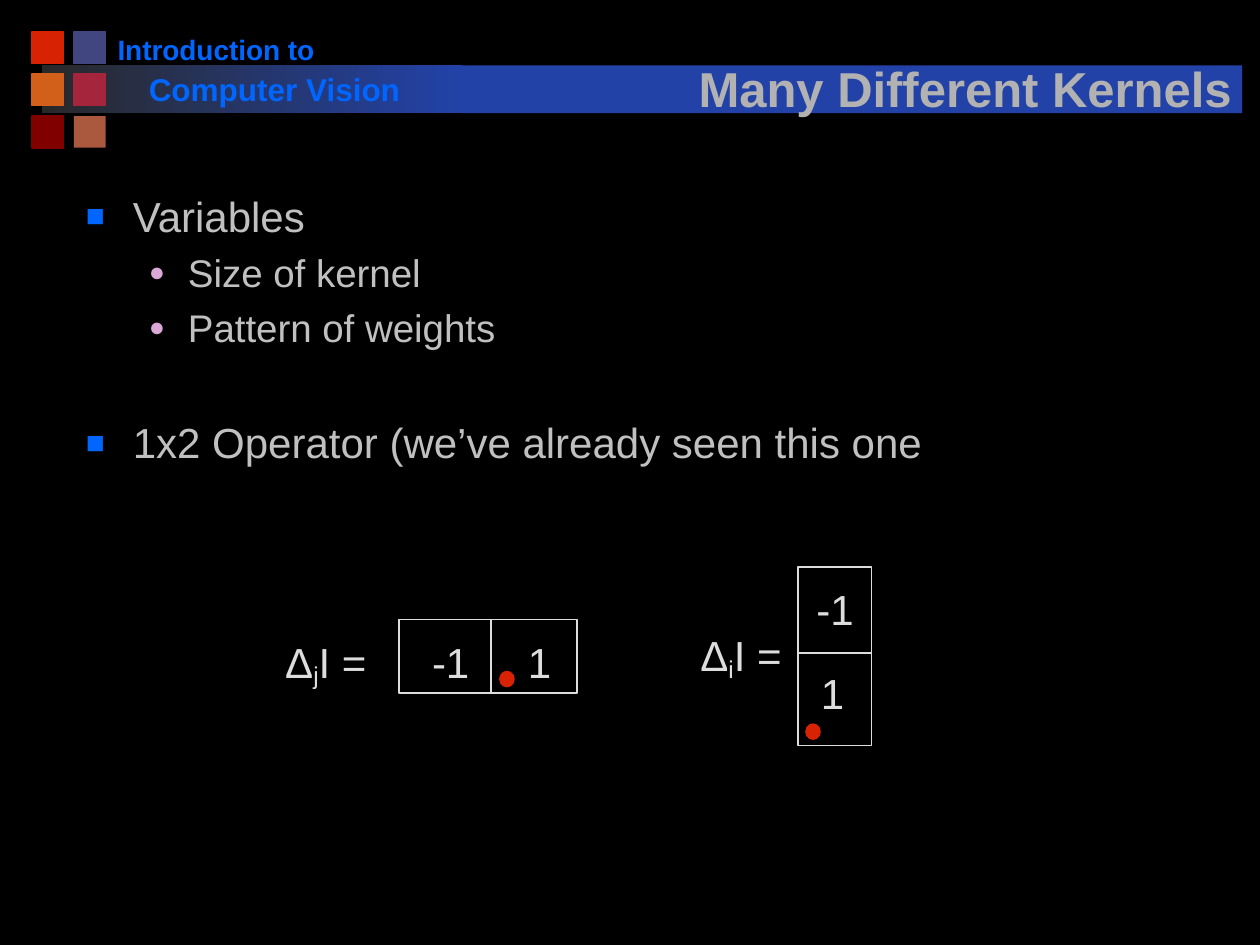
from lxml.etree import SubElement
from pptx import Presentation
from pptx.dml.color import RGBColor
from pptx.enum.shapes import MSO_CONNECTOR, MSO_SHAPE as Shape
from pptx.enum.text import MSO_ANCHOR as Anchor, PP_ALIGN as Align
from pptx.oxml.ns import qn
from pptx.util import Cm, Pt

# Theme: colours and type sizes
THEME = {
    "font": "Arial", "bg": "000000", "bar_dark": "292929", "bar": "2242A8",
    "header": "0066FF", "title": "B2B2B2", "body": "C0C0C0",
    "math": "DDDDDD", "dot": "D82204", "square": "0066FF", "round": "DBA9D7",
    "course_size": 16, "subject_size": 18, "title_size": 28,
    "body_size": 24, "sub_size": 22, "math_size": 24,
}

# Content; all positions are in centimetres
TITLE = "Many Different Kernels"
HEADERS = [  # text, size, box, wrap
    ("Introduction to", "course_size", (2.12, 0.53, 4.52, 0.94), False),
    ("Computer Vision", "subject_size", (2.75, 1.29, 7.2, 1.02), True),
]
TILES = [  # rows of fill colours
    ("D82204", "424680"),
    ("D2601A", "A5253D"),
    ("800000", "AA583E"),
]
BULLETS = [  # level, text, space before in points
    (0, "Variables", 0),
    (1, "Size of kernel", 5),
    (1, "Pattern of weights", 5),
    (0, "1x2 Operator (we’ve already seen this one", 38),
]
LEVELS = [  # bullet, colour, size in %, left margin, hanging indent, text size
    ("■", "square", 75, 0.95, 0.95, "body_size"),
    ("●", "round", 70, 2.06, 0.79, "sub_size"),
]
KERNELS = [
    {"index": "j", "label": (5.5, 12.7), "frame": (8.04, 12.49, 3.6, 1.48),
     "divider": (9.9, 12.49, 9.9, 13.97), "dot": (10.08, 13.54),
     "weights": [("-1", 8.46, 12.7, 1.27), ("1", 10.39, 12.7, 0.98)]},
    {"index": "i", "label": (13.87, 12.57), "frame": (16.09, 11.43, 1.48, 3.6),
     "divider": (16.09, 13.17, 17.57, 13.17), "dot": (16.25, 14.6),
     "weights": [("-1", 16.21, 11.63, 1.27), ("1", 16.3, 13.34, 0.98)]},
]
TILE, PITCH, TILE_LEFT = 0.64, 0.85, 0.64


def rgb(name):
    return RGBColor.from_string(THEME.get(name, name))


def add_shape(s, kind, box, fill=None, line=None):
    sp = s.shapes.add_shape(kind, *map(Cm, box))
    sp.shadow.inherit = False
    if fill:
        sp.fill.solid()
        sp.fill.fore_color.rgb = rgb(fill)
    else:
        sp.fill.background()
    if line:
        sp.line.color.rgb = rgb(line)
        sp.line.width = Pt(1)
    else:
        sp.line.fill.background()
    return sp


def add_box(s, box, wrap=False):
    tf = s.shapes.add_textbox(*map(Cm, box)).text_frame
    tf.word_wrap = wrap
    return tf


def add_run(p, text, size, color, bold=False):
    r = p.add_run()
    r.text = text
    r.font.name = THEME["font"]
    r.font.size = Pt(THEME[size])
    r.font.color.rgb = rgb(color)
    r.font.bold = bold
    return r


def add_text_shadow(r):
    rpr = r.font._element
    effects = rpr.makeelement(qn("a:effectLst"), {})
    rpr.find(qn("a:solidFill")).addnext(effects)
    shadow = SubElement(effects, qn("a:outerShdw"), dist="35921", dir="2700000")
    SubElement(shadow, qn("a:srgbClr"), val=THEME["bg"])


def set_bullet(p, char, color, percent, margin, hang):
    ppr = p._p.get_or_add_pPr()
    ppr.set("marL", str(Cm(margin)))
    ppr.set("indent", str(-Cm(hang)))
    bu_color = SubElement(ppr, qn("a:buClr"))
    SubElement(bu_color, qn("a:srgbClr"), val=THEME[color])
    SubElement(ppr, qn("a:buSzPct"), val=str(percent * 1000))
    SubElement(ppr, qn("a:buFont"), typeface=THEME["font"])
    SubElement(ppr, qn("a:buChar"), char=char)


def add_header(s):
    # Title bar: fading part, then solid part
    fade = add_shape(s, Shape.RECTANGLE, (0.85, 1.32, 8.47, 0.96))
    fade.fill.gradient()
    fade.fill.gradient_angle = 0
    for stop, color, pos in zip(fade.fill.gradient_stops, ("bar_dark", "bar"), (0, 1)):
        stop.color.rgb = rgb(color)
        stop.position = pos
    add_shape(s, Shape.RECTANGLE, (9.31, 1.32, 15.73, 0.96), "bar")

    # Coloured tiles; the last one has no outline
    for row, colors in enumerate(TILES):
        for col, color in enumerate(colors):
            box = (TILE_LEFT + col * PITCH, TILE_LEFT + row * PITCH, TILE, TILE)
            add_shape(s, Shape.RECTANGLE, box, color,
                      None if color == TILES[-1][-1] else color)

    # Course name and slide title
    for text, size, box, wrap in HEADERS:
        add_run(add_box(s, box, wrap).paragraphs[0], text, size, "header", True)
    tf = add_box(s, (13.51, 0.79, 11.89, 1.7), True)
    tf.vertical_anchor = Anchor.BOTTOM
    p = tf.paragraphs[0]
    p.alignment = Align.CENTER
    add_text_shadow(add_run(p, TITLE, "title_size", "title", True))


def add_bullets(s):
    tf = add_box(s, (1.48, 3.71, 21.8, 5.8), True)
    for i, (level, text, before) in enumerate(BULLETS):
        p = tf.add_paragraph() if i else tf.paragraphs[0]
        *bullet, size = LEVELS[level]
        p.level = level
        set_bullet(p, *bullet)
        p.space_before = Pt(before)
        add_run(p, text, size, "body")


def add_kernel(s, kernel):
    # Label with subscript
    p = add_box(s, (*kernel["label"], 2.34, 1.27)).paragraphs[0]
    for text, base in (("Δ", 0), (kernel["index"], -15), ("I =", 0)):
        r = add_run(p, text, "math_size", "math")
        if base:
            r.font._element.set("baseline", str(base * 1000))

    # Cells, weights and origin dot
    add_shape(s, Shape.RECTANGLE, kernel["frame"], line="math")
    line = s.shapes.add_connector(MSO_CONNECTOR.STRAIGHT, *map(Cm, kernel["divider"]))
    line.line.color.rgb = rgb("math")
    line.line.width = Pt(1)
    SubElement(line._element.spPr, qn("a:effectLst"))
    for text, left, top, width in kernel["weights"]:
        p = add_box(s, (left, top, width, 1.27)).paragraphs[0]
        add_run(p, text, "math_size", "math")
    add_shape(s, Shape.OVAL, (*kernel["dot"], 0.28, 0.3), "dot", "dot")


def main():
    prs = Presentation()
    prs.slide_width, prs.slide_height = Cm(25.4), Cm(19.05)
    s = prs.slides.add_slide(prs.slide_layouts[6])
    s.background.fill.solid()
    s.background.fill.fore_color.rgb = rgb("bg")
    add_header(s)
    add_bullets(s)
    for kernel in KERNELS:
        add_kernel(s, kernel)
    prs.save("out.pptx")


if __name__ == "__main__":
    main()
